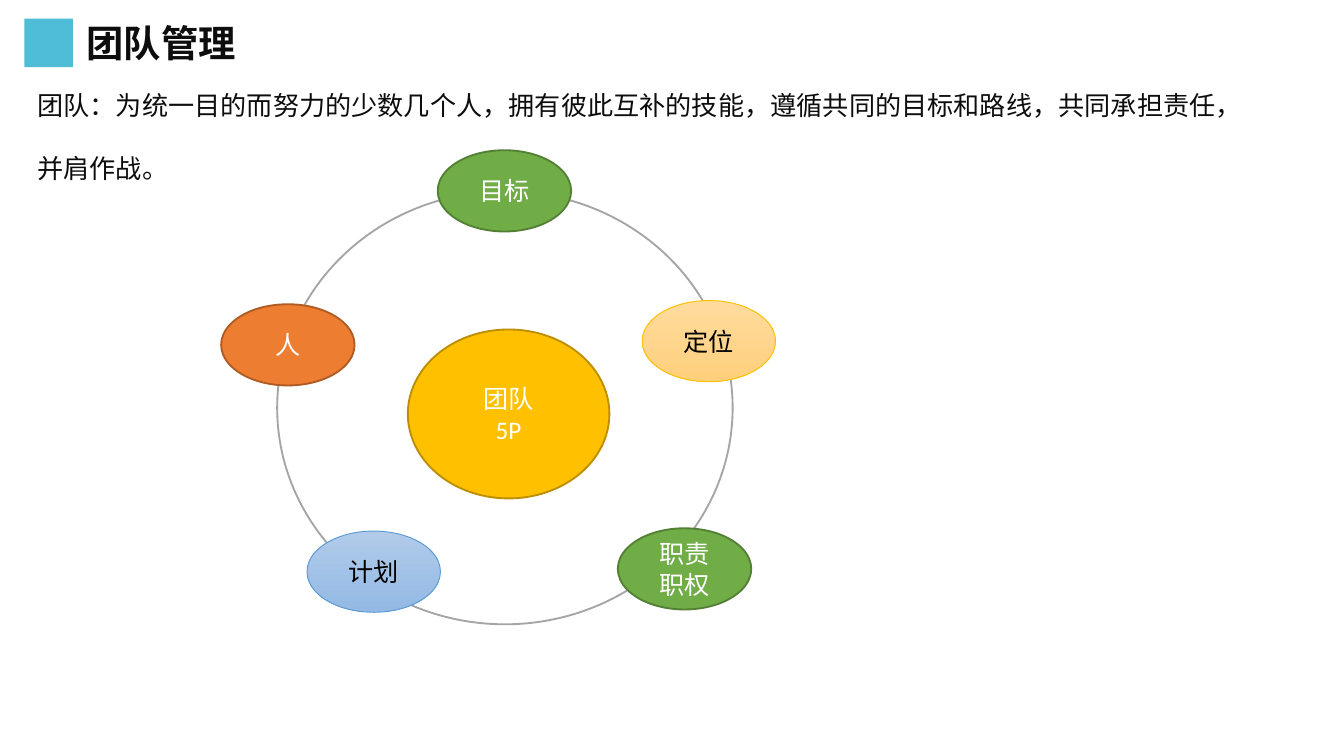
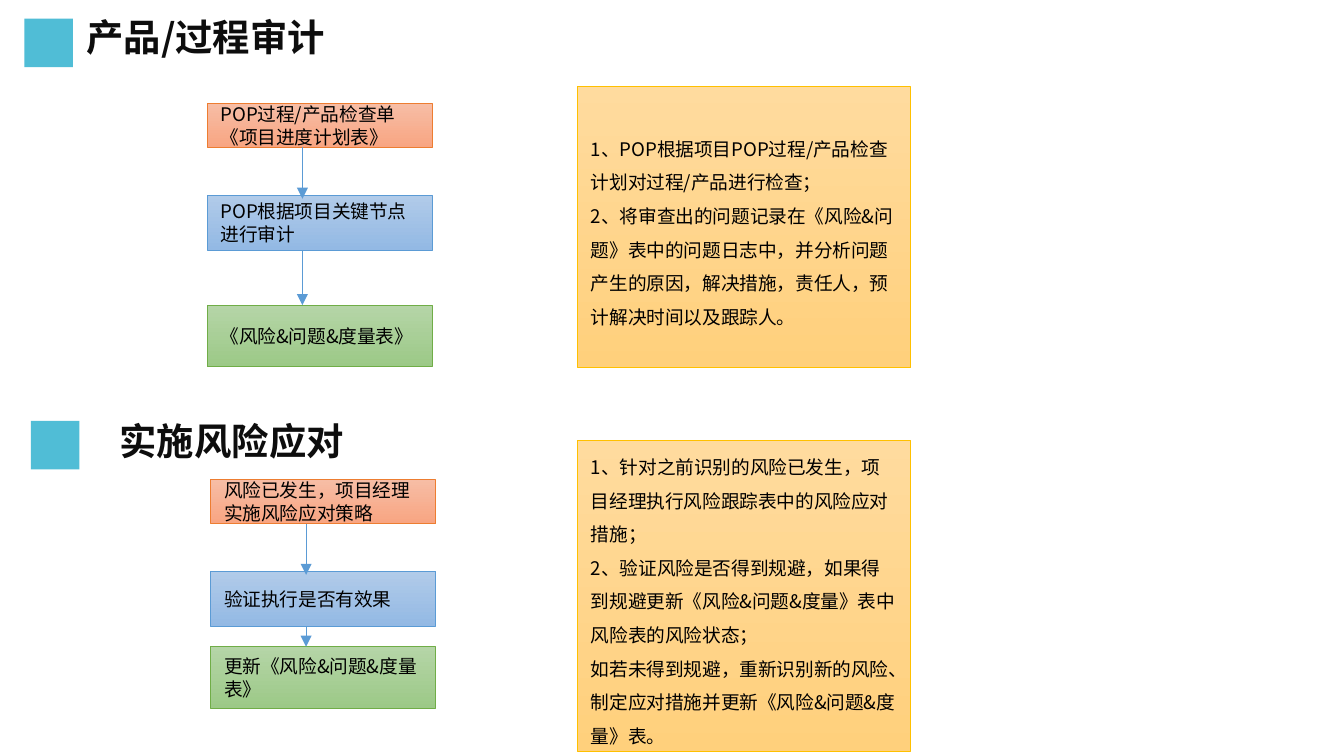
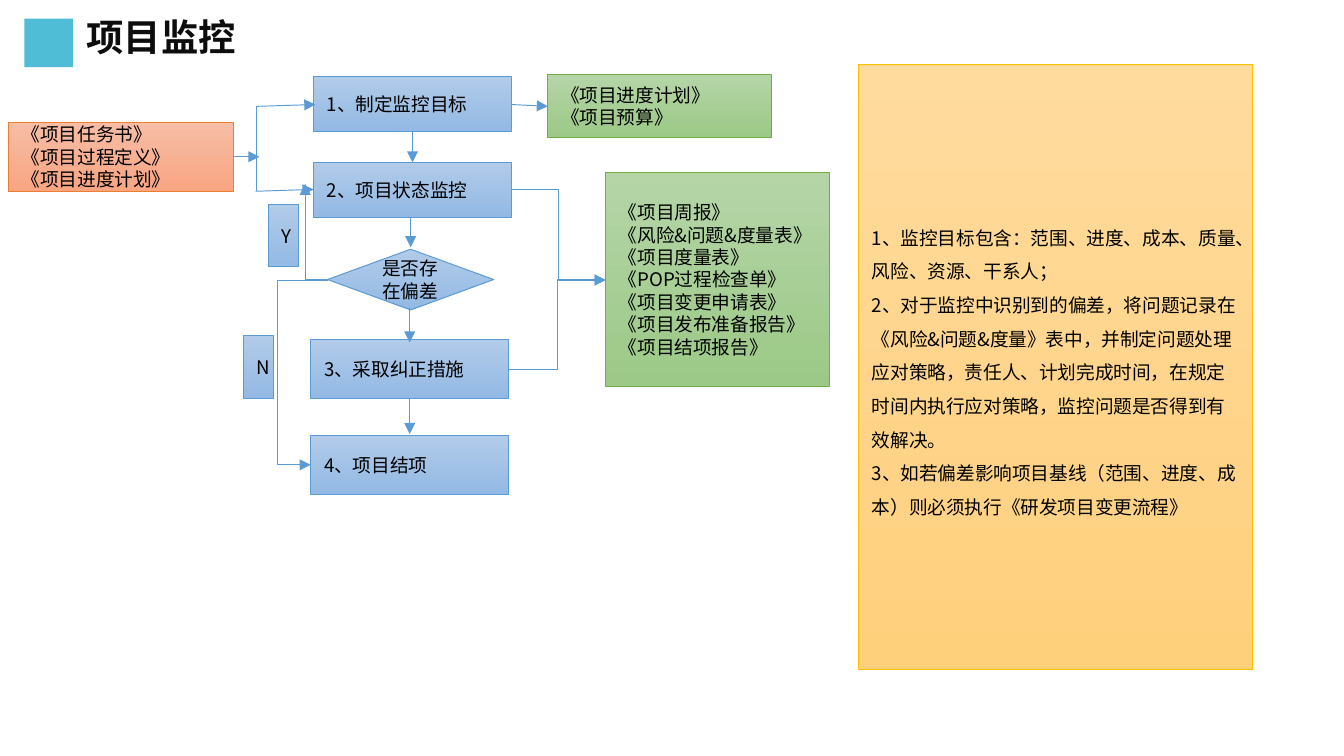
"""Builds three slides on team management, auditing and project monitoring."""
from typing import NamedTuple

from lxml.etree import SubElement
from pptx import Presentation
from pptx.dml.color import RGBColor
from pptx.enum.shapes import MSO_CONNECTOR as LINK, MSO_SHAPE as SHAPE
from pptx.enum.text import MSO_ANCHOR as ANCHOR, MSO_AUTO_SIZE as FIT, PP_ALIGN as ALIGN
from pptx.oxml.ns import qn
from pptx.util import Pt

HAN_FONT, LATIN_FONT = "Noto Sans CJK SC", "Calibri"
WHITE = RGBColor(0xFF, 0xFF, 0xFF)
BLACK = RGBColor(0x00, 0x00, 0x00)
INK = RGBColor(0x0D, 0x0D, 0x0D)
TEAL = RGBColor(0x06, 0xA1, 0xC6)
GREY = RGBColor(0xA5, 0xA5, 0xA5)
BLUE = RGBColor(0x5B, 0x9B, 0xD5)
GREEN = RGBColor(0x70, 0xAD, 0x47)
ORANGE = RGBColor(0xED, 0x7D, 0x31)
GOLD = RGBColor(0xFF, 0xC0, 0x00)
DARK_GREEN = RGBColor(0x53, 0x80, 0x35)
DARK_ORANGE = RGBColor(0xAF, 0x5C, 0x24)
DARK_GOLD = RGBColor(0xBD, 0x8E, 0x00)


class Look(NamedTuple):
    """Fill from top to bottom, outline and text colour of a block."""
    top: RGBColor
    bottom: RGBColor
    edge: RGBColor
    weight: float = 0.5
    ink: RGBColor = BLACK


SOFT_BLUE = Look(RGBColor(0xB1, 0xCB, 0xE9), RGBColor(0x93, 0xB9, 0xE4), BLUE)
SOFT_GREEN = Look(RGBColor(0xB5, 0xD5, 0xA7), RGBColor(0x9C, 0xC9, 0x87), GREEN)
SOFT_RED = Look(RGBColor(0xF7, 0xBD, 0xA5), RGBColor(0xF8, 0xA5, 0x82), ORANGE)
SOFT_GOLD = Look(RGBColor(0xFF, 0xDB, 0x9E), RGBColor(0xFF, 0xD0, 0x7C), GOLD)
SOLID_GREEN = Look(GREEN, GREEN, DARK_GREEN, 1, WHITE)
SOLID_ORANGE = Look(ORANGE, ORANGE, DARK_ORANGE, 1, WHITE)
SOLID_GOLD = Look(GOLD, GOLD, DARK_GOLD, 1, WHITE)
RING = Look(WHITE, WHITE, GREY, 1)


class SlideBuilder:
    """Holds the deck, its style and the current slide."""

    def __init__(self):
        self.deck = Presentation()
        self.deck.slide_width, self.deck.slide_height = Pt(720), Pt(405)
        self.slide = None

    def new_slide(self, title, top):
        """Add a slide with its title and square marker."""
        self.slide = self.deck.slides.add_slide(self.deck.slide_layouts[5])
        box = self.slide.shapes.title
        box.left, box.top, box.width, box.height = Pt(39), Pt(top), Pt(663), Pt(31.5)
        self.fill_text(box, [title], 20, INK, bold=True)
        self.marker(13, 10)

    def marker(self, left, top):
        """Add the translucent square beside a heading."""
        square = self.slide.shapes.add_shape(SHAPE.RECTANGLE, Pt(left), Pt(top), Pt(26), Pt(26))
        square.shadow.inherit = False
        square.fill.solid()
        square.fill.fore_color.rgb = TEAL
        square.line.fill.background()
        color = square._element.spPr.find(".//" + qn("a:srgbClr"))
        SubElement(color, qn("a:alpha"), val="70000")

    def text(self, words, left, top, width, height, size, bold=False, spacing=None):
        """Add a plain text box."""
        box = self.slide.shapes.add_textbox(Pt(left), Pt(top), Pt(width), Pt(height))
        self.fill_text(box, [words], size, INK, bold=bold, spacing=spacing)

    def fill_text(self, box, lines, size, ink, font=HAN_FONT, bold=False,
                  align=ALIGN.LEFT, anchor=ANCHOR.TOP, spacing=None):
        """Write one paragraph a line into a shape."""
        frame = box.text_frame
        frame.word_wrap = True
        frame.auto_size = FIT.NONE
        frame.vertical_anchor = anchor
        frame.text = "\n".join(lines)
        for para in frame.paragraphs:
            para.alignment = align
            para.line_spacing = spacing
            para.font.size, para.font.bold, para.font.name = Pt(size), bold, font
            para.font.color.rgb = ink
            SubElement(para._p.pPr.find(qn("a:defRPr")), qn("a:ea"), typeface=HAN_FONT)

    def block(self, look, lines, left, top, width, height, shape=SHAPE.RECTANGLE, size=10, **style):
        """Add a filled shape with centred-height text."""
        box = self.slide.shapes.add_shape(shape, Pt(left), Pt(top), Pt(width), Pt(height))
        box.shadow.inherit = False
        if look.top == look.bottom:
            box.fill.solid()
            box.fill.fore_color.rgb = look.top
        else:
            box.fill.gradient()
            box.fill.gradient_angle = 270
            for stop, color in zip(box.fill.gradient_stops, (look.top, look.bottom)):
                stop.color.rgb = color
        box.line.color.rgb, box.line.width = look.edge, Pt(look.weight)
        if lines:
            self.fill_text(box, lines, size, look.ink, anchor=ANCHOR.MIDDLE, **style)

    def oval(self, look, lines, left, top, width=71.5, height=43.5):
        """Add an ellipse with a centred label."""
        self.block(look, lines, left, top, width, height, SHAPE.OVAL, 13.5,
                   font=LATIN_FONT, align=ALIGN.CENTER)

    def note(self, lines, left, top, width, height):
        """Add a gold explanation panel."""
        self.block(SOFT_GOLD, lines, left, top, width, height, spacing=1.5)

    def line(self, x1, y1, x2, y2, kind=LINK.STRAIGHT, head=True):
        """Add a thin connector, with an arrowhead unless told otherwise."""
        link = self.slide.shapes.add_connector(kind, Pt(x1), Pt(y1), Pt(x2), Pt(y2))
        link.line.color.rgb, link.line.width = BLUE, Pt(0.5)
        properties = link._element.spPr
        if head:
            SubElement(properties.find(qn("a:ln")), qn("a:tailEnd"), type="triangle")
        SubElement(properties, qn("a:effectLst"))
        return properties.find(qn("a:prstGeom"))

    def elbow(self, x1, y1, x2, y2, bend=None):
        """Add an arrow with two turns, the first at the given share of its width."""
        geometry = self.line(x1, y1, x2, y2, LINK.ELBOW)
        if bend is not None:
            SubElement(geometry.find(qn("a:avLst")), qn("a:gd"),
                       name="adj1", fmla=f"val {round(bend * 100000)}")

    def corner(self, x1, y1, x2, y2):
        """Add an arrow that turns once."""
        self.line(x1, y1, x2, y2, LINK.ELBOW).set("prst", "bentConnector2")

    def flow(self, left, top, last_drop, steps):
        """Add three stacked steps joined by arrows."""
        drops, heights = (0, 49, last_drop), (23.5, 29.5, 33)
        for look, lines, drop, height in zip((SOFT_RED, SOFT_BLUE, SOFT_GREEN), steps, drops, heights):
            self.block(look, lines, left, top + drop, 120.5, height)
        for start, end in ((23.5, 51), (78.5, last_drop)):
            self.line(left + 51, top + start, left + 51, top + end)


def team_slide(builder):
    """Team definition and the ring of five elements."""
    builder.new_slide("团队管理", 7)
    builder.oval(RING, None, 148.5, 102.5, 244, 232)
    builder.text("团队：为统一目的而努力的少数几个人，拥有彼此互补的技能，遵循共同的目标和路线，"
                 "共同承担责任，并肩作战。", 13, 27.5, 662.5, 75, 14, spacing=2.0)
    builder.oval(SOLID_GOLD, ["团队", "5P"], 218.5, 176.5, 108, 90.5)
    for look, label, left, top in (
        (SOLID_GREEN, "目标", 234.5, 80.5),
        (SOFT_GOLD, "定位", 344, 161),
        (SOLID_GREEN, "职责职权", 331, 283),
        (SOFT_BLUE, "计划", 164.5, 284.5),
        (SOLID_ORANGE, "人", 118.5, 163),
    ):
        builder.oval(look, [label], left, top)


def audit_slide(builder):
    """Audit flow above, risk response flow below."""
    builder.new_slide("产品/过程审计", 4)
    builder.flow(111, 55.5, 108, (
        ["POP过程/产品检查单", "《项目进度计划表》"],
        ["POP根据项目关键节点进行审计"],
        ["《风险&问题&度量表》"],
    ))
    builder.note([
        "1、POP根据项目POP过程/产品检查计划对过程/产品进行检查；",
        "2、将审查出的问题记录在《风险&问题》表中的问题日志中，并分析问题产生的原因，"
        "解决措施，责任人，预计解决时间以及跟踪人。",
    ], 309.5, 46.5, 178.5, 150.5)
    builder.marker(16.5, 225.5)
    builder.text("实施风险应对", 57, 220.5, 663, 31.5, 20, bold=True)
    builder.flow(113, 257, 89.5, (
        ["风险已发生，项目经理实施风险应对策略"],
        ["验证执行是否有效果"],
        ["更新《风险&问题&度量表》"],
    ))
    builder.note([
        "1、针对之前识别的风险已发生，项目经理执行风险跟踪表中的风险应对措施；",
        "2、验证风险是否得到规避，如果得到规避更新《风险&问题&度量》表中风险表的风险状态；",
        "如若未得到规避，重新识别新的风险、制定应对措施并更新《风险&问题&度量》表。",
    ], 309.5, 236, 178.5, 166.5)


def monitor_slide(builder):
    """Monitoring flowchart with its inputs, outputs and notes."""
    builder.new_slide("项目监控", 4)
    builder.note([
        "1、监控目标包含：范围、进度、成本、质量、风险、资源、干系人；",
        "2、对于监控中识别到的偏差，将问题记录在《风险&问题&度量》表中，并制定问题处理应对策略，"
        "责任人、计划完成时间，在规定时间内执行应对策略，监控问题是否得到有效解决。",
        "3、如若偏差影响项目基线（范围、进度、成本）则必须执行《研发项目变更流程》",
    ], 460, 34.5, 211, 324)
    for label, left, top, height in (
        ("1、制定监控目标", 168, 41, 29.5),
        ("2、项目状态监控", 168, 87, 29.5),
        ("3、采取纠正措施", 166.5, 182, 31.5),
        ("4、项目结项", 166.5, 233.5, 31.5),
    ):
        builder.block(SOFT_BLUE, [label], left, top, 106, height)
    builder.block(SOFT_BLUE, ["是否存在偏差"], 175.5, 133.5, 89, 32.5, SHAPE.DIAMOND)
    builder.block(SOFT_RED, ["《项目任务书》", "《项目过程定义》", "《项目进度计划》"],
                  4.5, 65.5, 120.5, 37)
    builder.block(SOFT_GREEN, ["《项目进度计划》", "《项目预算》"], 293.5, 40, 120, 33.5)
    builder.block(SOFT_GREEN, [
        "《项目周报》", "《风险&问题&度量表》", "《项目度量表》", "《POP过程检查单》",
        "《项目变更申请表》", "《项目发布准备报告》", "《项目结项报告》",
    ], 324.5, 92.5, 120, 114.5)
    for label, left, top in (("Y", 144, 109.5), ("N", 130.5, 180)):
        builder.block(SOFT_BLUE, [label], left, top, 16, 33.5, align=ALIGN.CENTER)
    for ends in (
        (274, 56, 293.5, 57), (221, 70.5, 221, 87), (220, 116.5, 220, 132.5),
        (219.5, 165, 219.5, 183.5), (219.5, 213.5, 219.5, 232.5),
        (137, 102.5, 168, 101.5), (137.5, 57, 169, 56), (125, 84, 139, 84),
    ):
        builder.line(*ends)
    builder.line(137.5, 57, 137.5, 102.5, head=False)
    builder.elbow(175.5, 150, 166.5, 249, bend=2.96)
    builder.corner(175.5, 150, 163.5, 98.5)
    builder.elbow(272.5, 198, 324.5, 150)
    builder.elbow(274, 101.5, 324.5, 150)


def main():
    """Build and save the deck."""
    builder = SlideBuilder()
    for draw in (team_slide, audit_slide, monitor_slide):
        draw(builder)
    builder.deck.save("out.pptx")


if __name__ == "__main__":
    main()
